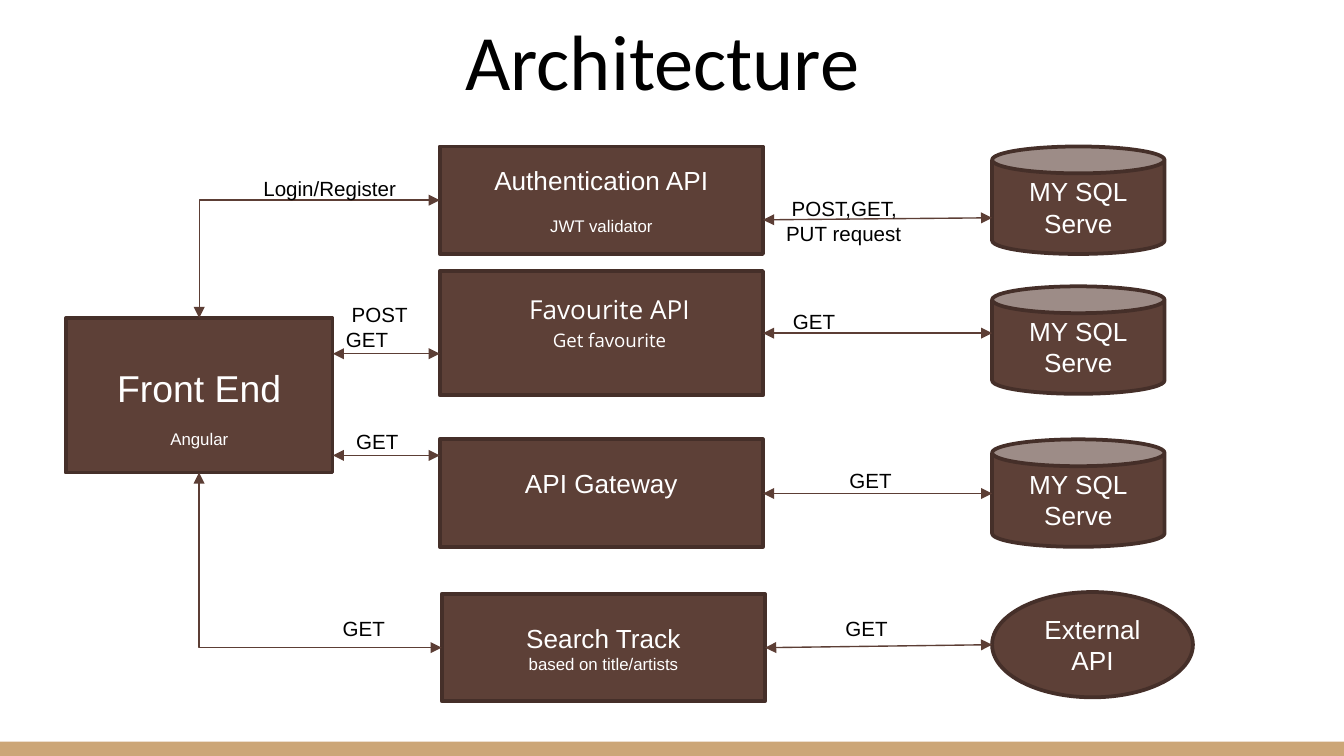
import pptx
import pptx.dml.color
import pptx.enum.shapes
import pptx.enum.text
import pptx.oxml
import pptx.oxml.ns
import pptx.util

Pt = pptx.util.Pt
SHAPES = pptx.enum.shapes.MSO_SHAPE
CONNECTORS = pptx.enum.shapes.MSO_CONNECTOR
ANCHORS = pptx.enum.text.MSO_ANCHOR
CENTER = pptx.enum.text.PP_ALIGN.CENTER
LEFT = pptx.enum.text.PP_ALIGN.LEFT
NAMESPACE = pptx.oxml.ns.nsdecls("a")


def color(value):
    return pptx.dml.color.RGBColor.from_string(value)


def write(shape, lines, frame_format, paragraph_format, font_color):
    frame = shape.text_frame
    for name, value in frame_format.items():
        setattr(frame, name, value)
    for index, (text, size, font_name, gap) in enumerate(lines):
        paragraph = frame.paragraphs[0] if index == 0 else frame.add_paragraph()
        paragraph.text = text
        for name, value in paragraph_format.items():
            setattr(paragraph, name, value)
        if gap:
            paragraph.space_before = Pt(gap)
        font = paragraph.runs[0].font
        for name, value in {"size": Pt(size), "name": font_name}.items():
            setattr(font, name, value)
        font.color.rgb = color(font_color)


presentation = pptx.Presentation()
presentation.slide_width = Pt(720)
presentation.slide_height = Pt(405)
slide = presentation.slides.add_slide(presentation.slide_layouts[6])

footer = slide.shapes.add_shape(SHAPES.RECTANGLE, Pt(0), Pt(397.4), Pt(720), Pt(7.6))
footer.shadow.inherit = False
footer.fill.solid()
footer.fill.fore_color.rgb = color("CCA677")
footer.line.fill.background()

title = slide.shapes.add_textbox(Pt(19.4), Pt(-1.4), Pt(671), Pt(65.5))
title_format = {"word_wrap": True, "vertical_anchor": ANCHORS.BOTTOM,
                "margin_top": Pt(7.2), "margin_bottom": Pt(7.2)}
write(title, [("Architecture", 42, "Calibri", 0)], title_format, {"alignment": CENTER}, "000000")

database = [("MY SQL", 14, "Arial", 0), ("Serve", 14, "Arial", 0)]
rows = [78.5, 153.4, 235.4]
nodes = [
    (SHAPES.RECTANGLE, 35.3, 170.4, 142.9, 82.8,
     [("Front End", 20, "Arial", 0), ("Angular", 9, "Arial", 10.4)], {"margin_top": Pt(16.2)}, {}),
    (SHAPES.RECTANGLE, 235.6, rows[0], 173.2, 57.6,
     [("Authentication API", 14, "Arial", 0), ("JWT validator", 9, "Arial", 10.4)], {}, {}),
    (SHAPES.RECTANGLE, 235.6, 145.2, 173.2, 66.6,
     [("Favourite API", 14, "Open Sans", 0), ("Get favourite", 10, "Open Sans", 0)],
     {"margin_left": Pt(15.8), "margin_bottom": Pt(17.6)}, {"line_spacing": 1.15}),
    (SHAPES.RECTANGLE, 235.6, rows[2], 173.2, 57.6,
     [("API Gateway", 14, "Arial", 0)], {"margin_bottom": Pt(14)}, {}),
    (SHAPES.RECTANGLE, 236.7, 318.2, 173.2, 57.6,
     [("Search Track", 14, "Arial", 0), ("based on title/artists", 9, "Arial", 0)], {}, {}),
    (SHAPES.OVAL, 531.5, 317.2, 107.6, 56.4, [("External API", 14, "Arial", 0)], {}, {}),
]
nodes += [(SHAPES.CAN, 531.5, top, 92.4, 57.6, database, {}, {}) for top in rows]

for kind, left, top, width, height, lines, frame_format, paragraph_format in nodes:
    shape = slide.shapes.add_shape(kind, Pt(left), Pt(top), Pt(width), Pt(height))
    shape.shadow.inherit = False
    shape.fill.solid()
    shape.fill.fore_color.rgb = color("5D4037")
    shape.line.color.rgb = color("452F29")
    shape.line.width = Pt(2)
    write(shape, lines,
          {"word_wrap": True, "vertical_anchor": ANCHORS.MIDDLE, **frame_format},
          {"alignment": CENTER, **paragraph_format}, "FFFFFF")

arrows = [
    (409.9, 347, 531.5, 345.4, None),
    (408.8, 264.4, 531.5, 264.4, None),
    (408.8, 178.5, 531.5, 178.5, None),
    (408.8, 117.8, 531.5, 116.7, None),
    (178.3, 189.5, 235.6, 189.5, None),
    (178.3, 244, 235.6, 244, None),
    (202.7, 203.3, 139.6, 74.4, 90),
    (236.7, 347, 106.7, 253.2, 0),
]
for begin_x, begin_y, end_x, end_y, rotation in arrows:
    connector = slide.shapes.add_connector(
        CONNECTORS.STRAIGHT if rotation is None else CONNECTORS.ELBOW,
        Pt(begin_x), Pt(begin_y), Pt(end_x), Pt(end_y))
    connector.line.color.rgb = color("5C3E35")
    connector.line.width = Pt(0.75)
    properties = connector._element.spPr
    if rotation is not None:
        properties.find(pptx.oxml.ns.qn("a:prstGeom")).set("prst", "bentConnector2")
        properties.find(pptx.oxml.ns.qn("a:xfrm")).set("rot", str(rotation * 60000))
    line = properties.find(pptx.oxml.ns.qn("a:ln"))
    for end in ("headEnd", "tailEnd"):
        line.append(pptx.oxml.parse_xml(f'<a:{end} {NAMESPACE} type="triangle"/>'))
    properties.append(pptx.oxml.parse_xml(f"<a:effectLst {NAMESPACE}/>"))

labels = [
    (414, 101.5, 92.2, ["POST,GET, PUT request"]),
    (414.7, 162, 50, ["GET"]),
    (445, 247, 50, ["GET"]),
    (442.8, 326.2, 50, ["GET"]),
    (131, 90.7, 92.2, ["Login/Register"]),
    (178.3, 158.4, 64.8, ["POST", "GET"]),
    (180.7, 226.1, 92.2, ["GET"]),
    (173.5, 326.2, 92.2, ["GET"]),
]
for left, top, width, texts in labels:
    label = slide.shapes.add_textbox(Pt(left), Pt(top), Pt(width), Pt(7.2 + 13 * len(texts)))
    write(label, [(text, 11, "Arial", 0) for text in texts],
          {"word_wrap": True}, {"alignment": LEFT}, "000000")
    label.text_frame.paragraphs[0]._p.get_or_add_pPr().set("indent", str(Pt(3)))

presentation.save("out.pptx")
